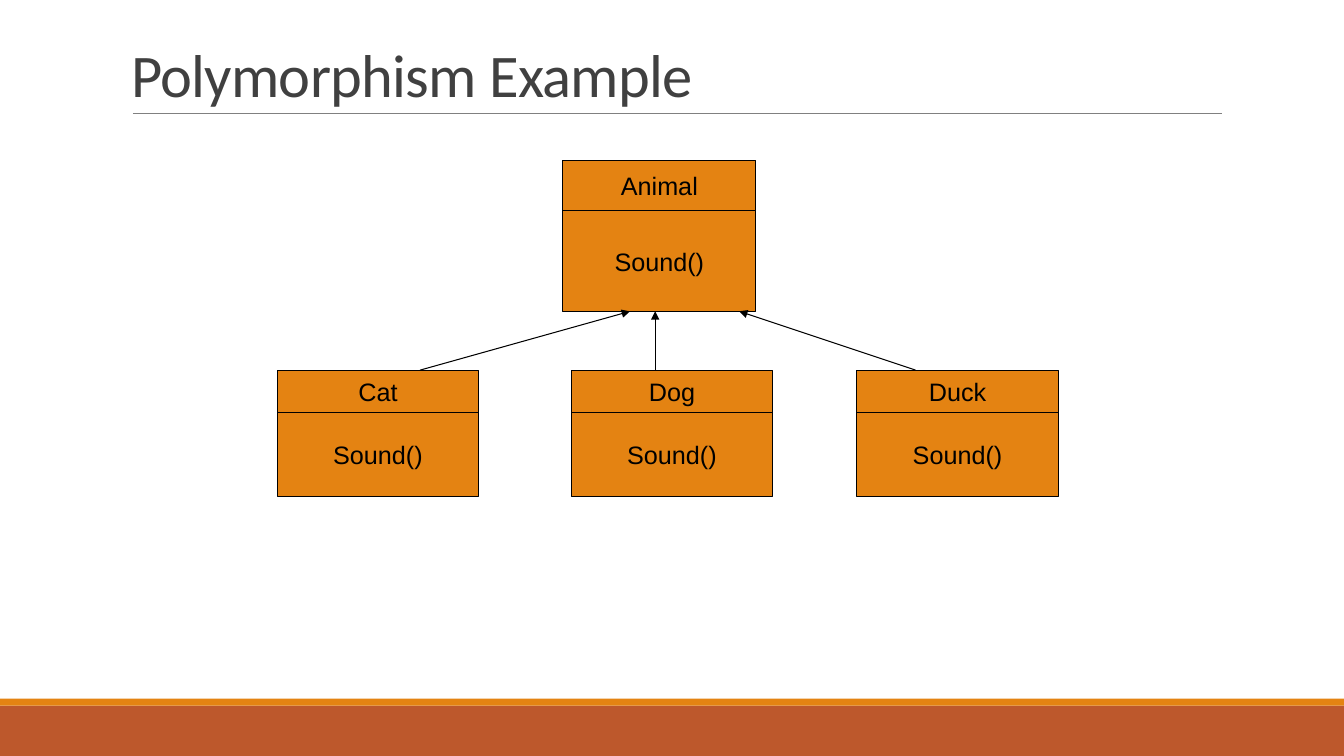
from lxml.etree import SubElement
from pptx import Presentation
from pptx.dml.color import RGBColor
from pptx.enum.shapes import MSO_CONNECTOR as Link, MSO_SHAPE as Shape
from pptx.enum.text import MSO_ANCHOR as Anchor, PP_ALIGN as Align
from pptx.oxml.ns import qn
from pptx.util import Pt

BLACK = RGBColor(0, 0, 0)
GRAY = RGBColor(0x80, 0x80, 0x80)
DARK = RGBColor(0x40, 0x40, 0x40)
ORANGE = RGBColor(0xE4, 0x83, 0x12)
RUST = RGBColor(0xBD, 0x58, 0x2C)

WIDTH, HEIGHT = 960, 540
TITLE = "Polymorphism Example"
METHOD = "Sound()"
# name, left, top, width, name height, method height
PARENT = ("Animal", 402, 114.4, 138, 36, 72)
CHILD_TOP = 264.4
CHILDREN = [
    (name, left, CHILD_TOP, 144, 30, 60)
    for name, left in (("Cat", 198), ("Dog", 408), ("Duck", 612))
]
# x at the child's top, x at the parent's bottom
ARROWS = [(300, 450), (468, 468), (654, 528)]
# top, height, colour
BANDS = [(504, 36, RUST), (499, 5, ORANGE)]


def write(frame, text, font="Arial", size=18, color=BLACK,
          align=Align.CENTER, anchor=Anchor.MIDDLE, wrap=False):
    frame.word_wrap = wrap
    frame.vertical_anchor = anchor
    para = frame.paragraphs[0]
    para.alignment = align
    run = para.add_run()
    run.text = text
    run.font.name = font
    run.font.size = Pt(size)
    run.font.color.rgb = color
    return para


def add_rect(shapes, left, top, width, height, fill, edge=None):
    rect = shapes.add_shape(Shape.RECTANGLE, Pt(left), Pt(top), Pt(width), Pt(height))
    rect.shadow.inherit = False
    rect.fill.solid()
    rect.fill.fore_color.rgb = fill
    if edge is None:
        rect.line.fill.background()
    else:
        rect.line.color.rgb = edge
        rect.line.width = Pt(0.75)
    return rect


def add_line(shapes, x1, y1, x2, y2, color, width, arrow=False):
    line = shapes.add_connector(Link.STRAIGHT, Pt(x1), Pt(y1), Pt(x2), Pt(y2))
    line.line.color.rgb = color
    line.line.width = Pt(width)
    if arrow:
        SubElement(line.line._get_or_add_ln(), qn("a:tailEnd"), type="triangle")
    SubElement(line._element.spPr, qn("a:effectLst"))


def add_class(shapes, name, left, top, width, head, body):
    """Draw a class box: its method below, its name on top."""
    for text, y, high in ((METHOD, top + head, body), (name, top, head)):
        rect = add_rect(shapes, left, y, width, high, ORANGE, BLACK)
        write(rect.text_frame, text)


def add_title(slide):
    title = slide.shapes.title
    title.left, title.top = Pt(86.4), Pt(28)
    title.width, title.height = Pt(792), Pt(54)
    para = write(title.text_frame, TITLE, font="Calibri", size=43.2, color=DARK,
                 align=Align.LEFT, anchor=Anchor.BOTTOM, wrap=True)
    para.line_spacing = 0.85
    para.runs[0].font._element.set("spc", "-50")


def main():
    deck = Presentation()
    deck.slide_width, deck.slide_height = Pt(WIDTH), Pt(HEIGHT)
    slide = deck.slides.add_slide(deck.slide_layouts[5])
    shapes = slide.shapes

    for top, height, color in BANDS:
        add_rect(shapes, 0, top, WIDTH, height, color)
    add_line(shapes, 95, 81, 873, 81, GRAY, 0.5)
    add_title(slide)

    for family in (CHILDREN, [PARENT]):
        group = shapes.add_group_shape()
        for box in family:
            add_class(group.shapes, *box)

    _, _, top, _, head, body = PARENT
    for start, end in ARROWS:
        add_line(shapes, start, CHILD_TOP, end, top + head + body, BLACK, 0.75, arrow=True)

    deck.save("out.pptx")


if __name__ == "__main__":
    main()
